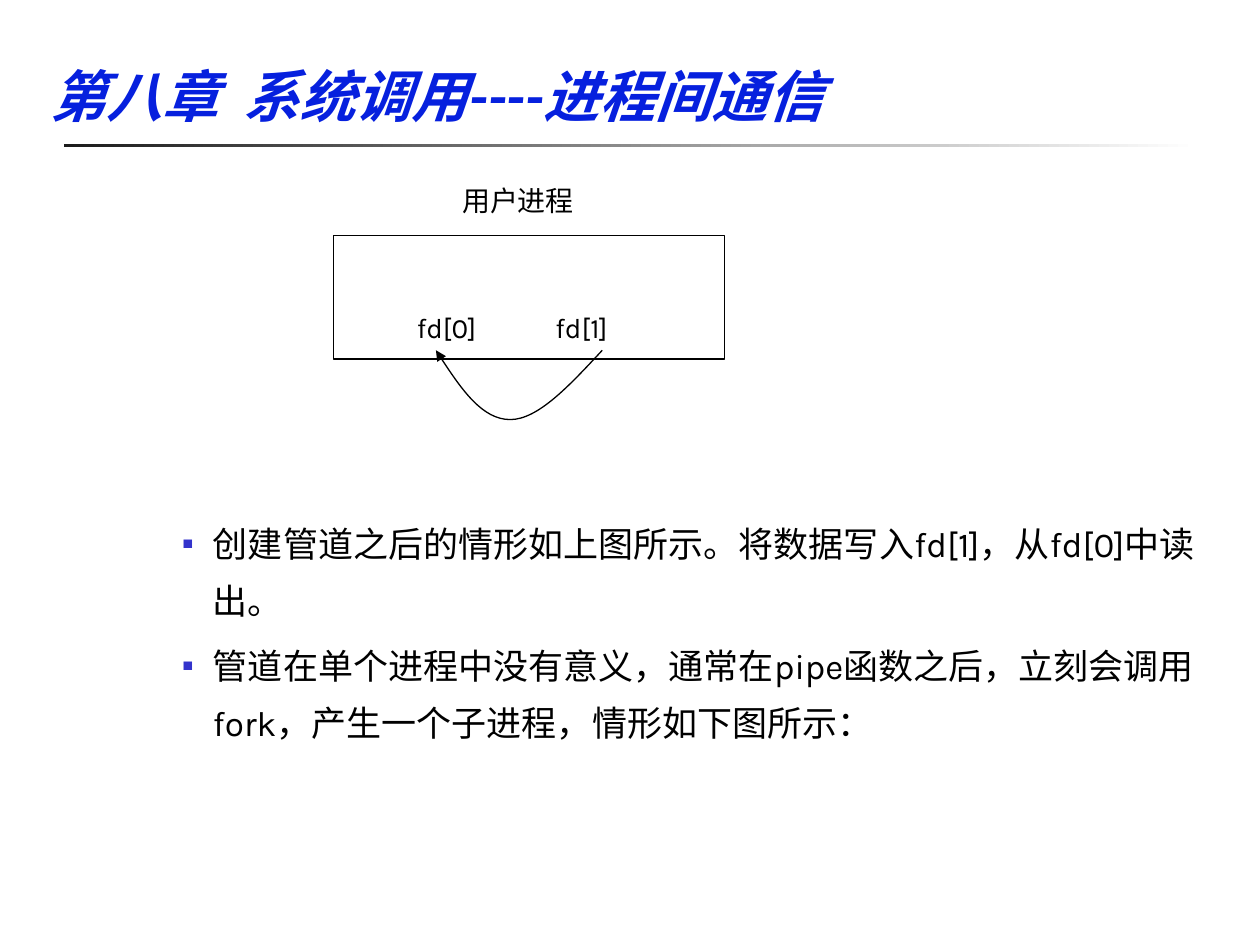
from lxml import etree
from pptx import Presentation
from pptx import util as u
from pptx.dml import color
from pptx.enum import shapes, text
from pptx.oxml import ns

FONT = "Karla"


def rgb(value):
    """Return a colour from a hex string."""
    return color.RGBColor.from_string(value)


def sub(parent, tag, **attrs):
    """Append a drawing element with attributes."""
    return etree.SubElement(parent, ns.qn(tag), attrs)


def place(sp, x, y, w, h):
    """Move and size a shape, in inches."""
    sp.left, sp.top, sp.width, sp.height = map(u.Inches, (x, y, w, h))


def add_run(p, words, size, hue="000000"):
    """Add a formatted run to a paragraph."""
    r = p.add_run()
    r.text = words
    r.font.name, r.font.size = FONT, u.Pt(size)
    r.font.color.rgb = rgb(hue)
    return r


def add_title(s, words, x, y, w, h):
    """Fill the title and draw the fading rule under it."""
    rule = s.shapes.add_shape(shapes.MSO_SHAPE.RECTANGLE, *map(u.Inches, (x + 0.21, y + 0.91, 9, 0.03)))
    rule.shadow.inherit = False
    rule.line.fill.background()
    rule.fill.gradient()
    rule.fill.gradient_angle = 0
    for stop, hue in zip(rule.fill.gradient_stops, ("1C1C1C", "FFFFFF")):
        stop.color.rgb = rgb(hue)
    sp = s.shapes.title
    place(sp, x, y, w, h)
    tf = sp.text_frame
    tf.auto_size = text.MSO_AUTO_SIZE.NONE
    tf.vertical_anchor = text.MSO_ANCHOR.BOTTOM
    p = tf.paragraphs[0]
    p.alignment = text.PP_ALIGN.LEFT
    r = add_run(p, words, 32, "0620DE")
    r.font.bold = r.font.italic = True


def add_label(s, words, x, y, w, h=0.37):
    """Add a small diagram label."""
    sp = s.shapes.add_textbox(*map(u.Inches, (x, y, w, h)))
    tf = sp.text_frame
    tf.word_wrap = True
    tf.vertical_anchor = text.MSO_ANCHOR.BOTTOM
    add_run(tf.paragraphs[0], words, 16)


def add_pipe_arrow(s, start, *controls):
    """Draw a curved arrow through cubic control points."""
    builder = s.shapes.build_freeform(*map(u.Inches, start))
    builder.add_line_segments([tuple(map(u.Inches, pt)) for pt in controls], close=False)
    sp = builder.convert_to_shape()
    sp.shadow.inherit = False
    sp.fill.background()
    sp.line.color.rgb, sp.line.width = rgb("000000"), u.Pt(0.75)
    sub(sp.line._get_or_add_ln(), "a:tailEnd", type="triangle")
    path = sp._element.find(".//" + ns.qn("a:path"))
    lines = path.findall(ns.qn("a:lnTo"))
    for i in range(0, len(lines), 3):
        curve = sub(path, "a:cubicBezTo")
        for line in lines[i:i + 3]:
            curve.append(line[0])
            path.remove(line)


def add_process(s, x, y, w, h):
    """Draw the process box with its descriptors and pipe."""
    box = s.shapes.add_shape(shapes.MSO_SHAPE.RECTANGLE, *map(u.Inches, (x, y, w, h)))
    box.shadow.inherit = False
    box.fill.background()
    box.line.color.rgb, box.line.width = rgb("000000"), u.Pt(0.75)
    add_label(s, "用户进程", x + 0.92, y - 0.47, 1.3)
    for i in range(2):
        add_label(s, f"fd[{i}]", x + 0.56 + 1.1 * i, y + 0.54, 0.85)
    top, low, mid = y + 0.91, y + 1.46, y + 1.19
    add_pipe_arrow(s, (x + 2.13, top), (x + 1.87, mid), (x + 1.62, low), (x + 1.4, low),
                   (x + 1.18, low), (x + 0.99, mid), (x + 0.81, top))


def add_bullets(s, items, x, y, w, h):
    """Fill the body with square-bulleted items."""
    sp = s.placeholders[1]
    place(sp, x, y, w, h)
    tf = sp.text_frame
    tf.auto_size = text.MSO_AUTO_SIZE.NONE
    for i, words in enumerate(items):
        p = tf.add_paragraph() if i else tf.paragraphs[0]
        p.level, p.line_spacing, p.space_before = 2, 1.35, u.Pt(5)
        pPr = p._p.get_or_add_pPr()
        pPr.set("marL", str(u.Inches(1)))
        pPr.set("indent", str(u.Inches(-0.24)))
        sub(sub(pPr, "a:buClr"), "a:srgbClr", val="3333CC")
        sub(pPr, "a:buSzPct", val="50000")
        sub(pPr, "a:buChar", char="■")
        add_run(p, words, 20)


def main():
    """Build and save the slide."""
    prs = Presentation()
    prs.slide_width, prs.slide_height = u.Inches(10), u.Inches(7.5)
    s = prs.slides.add_slide(prs.slide_layouts[1])
    add_title(s, "第八章  系统调用----进程间通信", 0.3, 0.23, 8.52, 0.84)
    add_process(s, 2.65, 1.87, 3.1, 0.98)
    add_bullets(s, ["创建管道之后的情形如上图所示。将数据写入fd[1]，从fd[0]中读出。",
                    "管道在单个进程中没有意义，通常在pipe函数之后，立刻会调用fork，产生一个子进程，情形如下图所示："],
                0.59, 3.98, 9.06, 3.26)
    prs.save("out.pptx")


if __name__ == "__main__":
    main()
